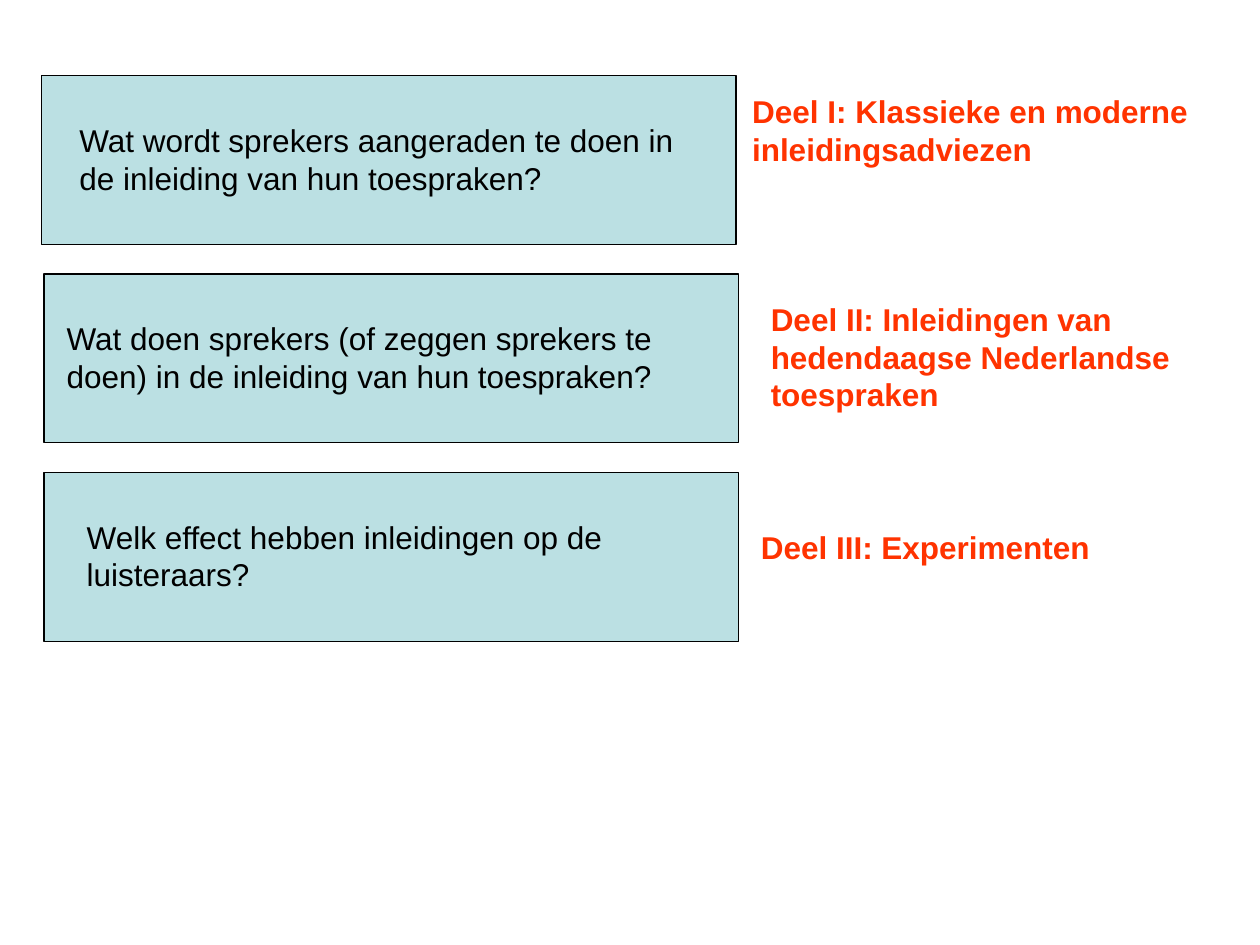
from pptx import Presentation
from pptx.dml.color import RGBColor
from pptx.enum.shapes import MSO_SHAPE
from pptx.enum.text import MSO_AUTO_SIZE
from pptx.util import Pt

TOP, PITCH = 43.2, 113.4
WIDTH, HEIGHT = 396.7, 96.5

# Per row: box left, (question, inset, width), (label, x and y offset, height)
ROWS = [
    (23.8,
     ("Wat wordt sprekers aangeraden te doen in de inleiding van hun toespraken?",
      14.4, 368.6),
     ("Deel I: Klassieke en moderne inleidingsadviezen", 398.9, 5.8, 50.4)),
    (25.2,
     ("Wat doen sprekers (of zeggen sprekers te doen) in de inleiding van hun toespraken?",
      5.8, 396.7),
     ("Deel II: Inleidingen van hedendaagse Nederlandse toespraken", 408.2, 11.2, 72)),
    (25.2,
     ("Welk effect hebben inleidingen op de luisteraars?", 17.3, 329),
     ("Deel III: Experimenten", 402.5, 28.1, 28.8)),
]


def color(code):
    return RGBColor.from_string(code)


def add_text(shapes, text, x, y, w, h, code, bold=False):
    frame = shapes.add_textbox(Pt(x), Pt(y), Pt(w), Pt(h)).text_frame
    frame.word_wrap = True
    frame.auto_size = MSO_AUTO_SIZE.SHAPE_TO_FIT_TEXT
    para = frame.paragraphs[0]
    para.text = text
    font = para.font
    font.name, font.size, font.bold = "Arial", Pt(18), bold
    font.color.rgb = color(code)


def add_question(slide, x, y, text, inset, width):
    """Group a filled box with the question lying on it."""
    shapes = slide.shapes.add_group_shape().shapes
    box = shapes.add_shape(MSO_SHAPE.RECTANGLE, Pt(x), Pt(y), Pt(WIDTH), Pt(HEIGHT))
    box.shadow.inherit = False
    box.fill.solid()
    box.fill.fore_color.rgb = color("BBE0E3")
    box.line.color.rgb = color("000000")
    box.line.width = Pt(0.75)
    add_text(shapes, text, x + inset, y + 22.3, width, 50.4, "000000")


def add_label(slide, x, y, text, dx, dy, height):
    add_text(slide.shapes, text, x + dx, y + dy, 269.3, height, "FF3300", True)


def main():
    deck = Presentation()
    deck.slide_width, deck.slide_height = Pt(720), Pt(540)
    slide = deck.slides.add_slide(deck.slide_layouts[6])
    for i, (left, question, label) in enumerate(ROWS):
        top = TOP + i * PITCH
        add_question(slide, left, top, *question)
        add_label(slide, left, top, *label)
    deck.save("out.pptx")


if __name__ == "__main__":
    main()
